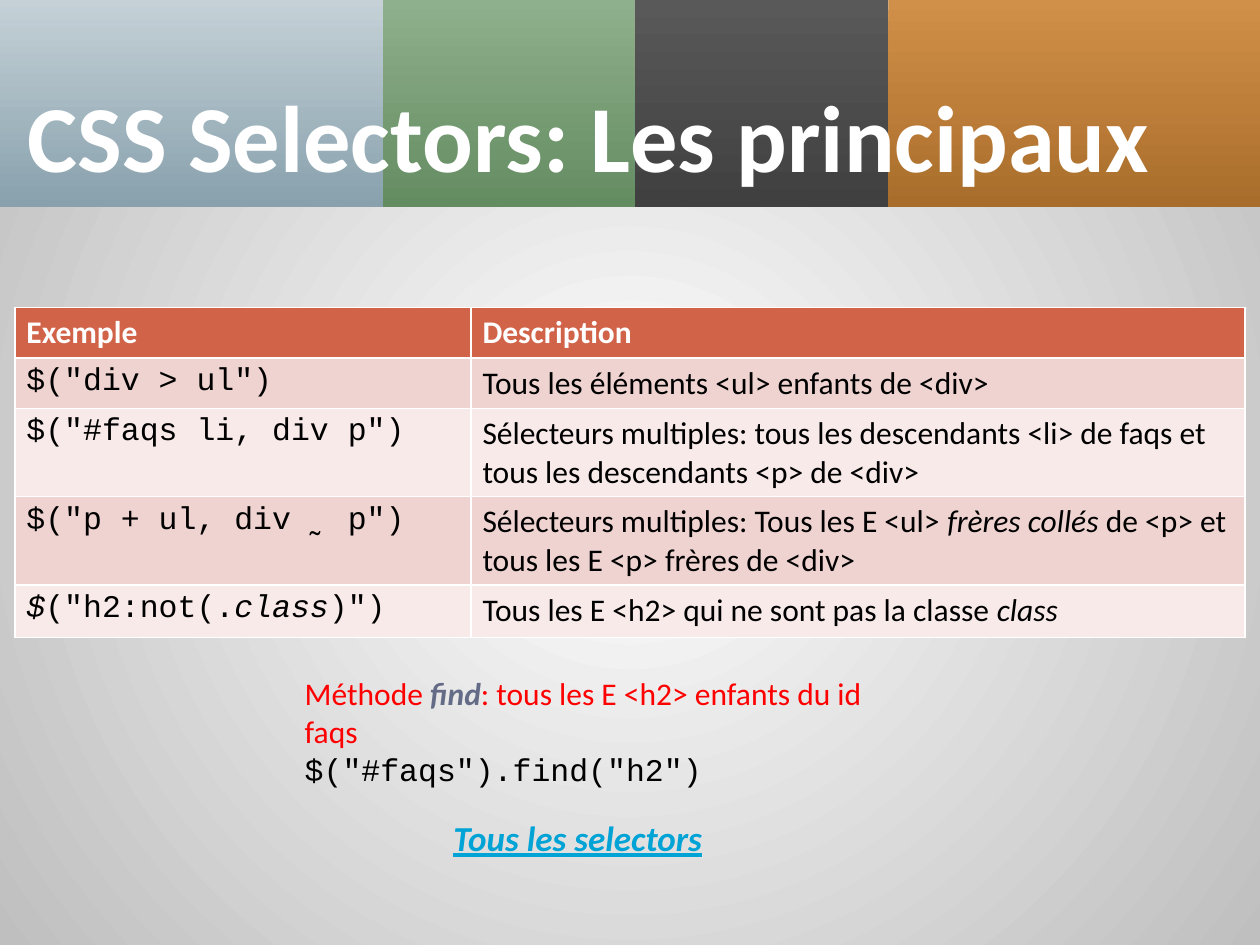
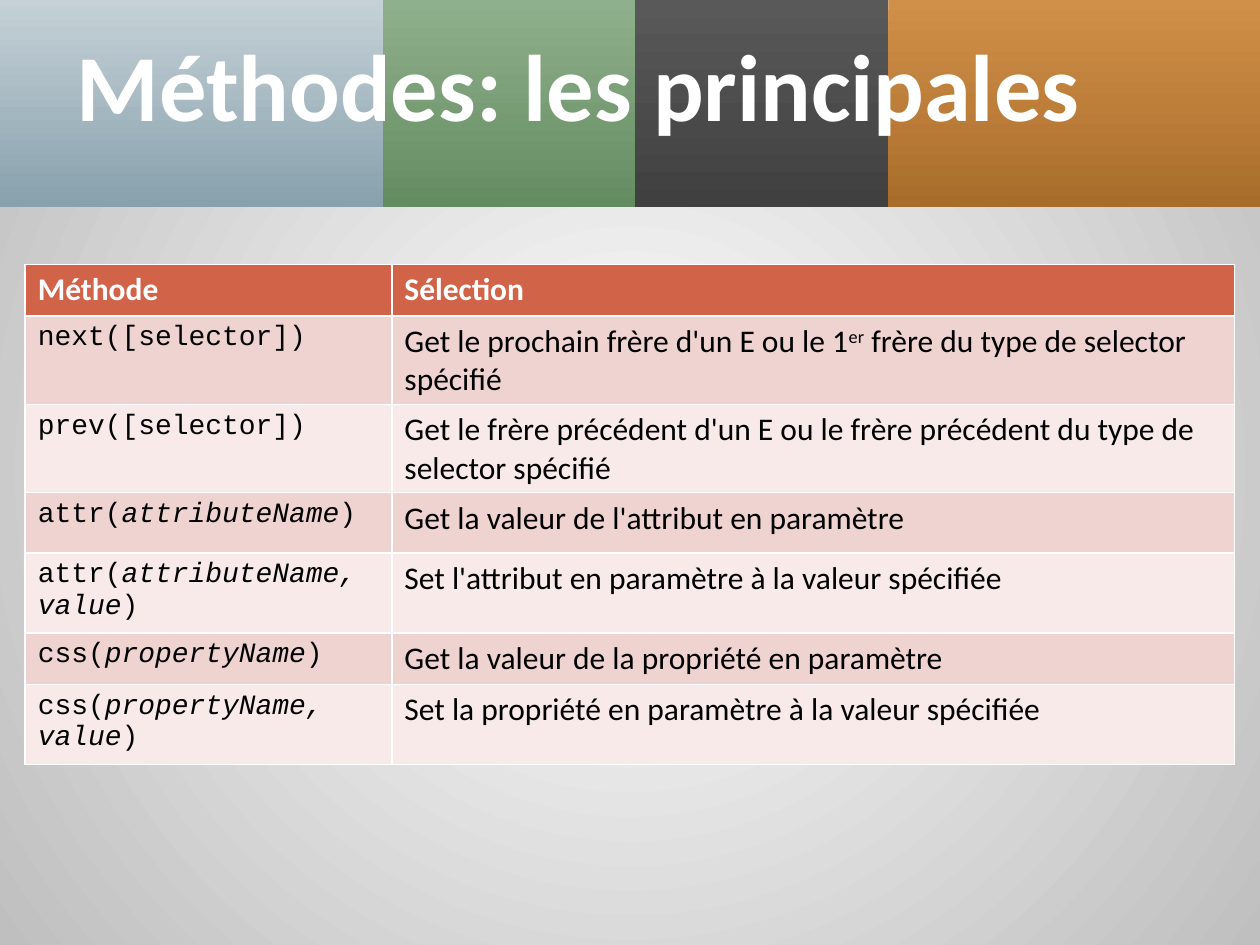
from dataclasses import dataclass
from typing import Any

from lxml import etree
from pptx import Presentation
from pptx.dml import color
from pptx.enum import shapes, text
from pptx.oxml import ns
from pptx.util import Inches, Pt

BODY_FONT, CODE_FONT = "Calibri", "Courier New"
WHITE, BLACK, RED = "FFFFFF", "000000", "FF0000"
SLATE, LINK_BLUE = "646B86", "00A3D6"
HEADER_FILL = "D16349"
ROW_FILLS = ("EED3D0", "F7EAE9")
BAND_HEIGHT = 1.64


@dataclass(frozen=True)
class Band:
    left: float
    right: float
    top_color: str
    bottom_color: str


@dataclass(frozen=True)
class Style:
    size: float = 18
    font: str = BODY_FONT
    color: str = BLACK
    bold: bool = False
    italic: bool = False
    underline: bool = False


@dataclass(frozen=True)
class Span:
    """A piece of text that departs from its paragraph's style."""
    text: str
    color: str | None = None
    bold: bool | None = None
    italic: bool | None = None
    baseline: int | None = None


@dataclass(frozen=True)
class Box:
    left: float
    top: float
    width: float
    height: float

    def lengths(self) -> list[int]:
        return [Inches(n) for n in (self.left, self.top, self.width, self.height)]


@dataclass(frozen=True)
class Grid:
    left: float
    top: float
    columns: tuple[float, float]
    heights: tuple[float, ...]
    side_inset: float
    code_size: float
    header: tuple[str, str]
    rows: list[tuple[Any, Any]]


BANDS = (
    Band(0, 3.04, "C5D1D7", "88A1AD"),
    Band(3.04, 5.04, "8FB08C", "648C61"),
    Band(5.04, 7.05, "595959", "404040"),
    Band(7.05, 10, "D19049", "A96D2B"),
)
TITLE = Style(54, color=WHITE, bold=True)
HEADER = Style(color=WHITE, bold=True)
BODY = Style()


def rgb(value: str) -> color.RGBColor:
    return color.RGBColor.from_string(value)


def italic(words: str) -> Span:
    return Span(words, italic=True)


def call(name: str, arguments: str) -> list:
    return [f"{name}(", italic(arguments), ")"]


def set_gradient(fill, first: str, last: str) -> None:
    fill.gradient()
    for stop, value in zip(fill.gradient_stops, (first, last)):
        stop.color.rgb = rgb(value)


def write(paragraph, content, style: Style) -> None:
    """Fill a paragraph from a string or a list of strings and spans."""
    font = paragraph.font
    font.name, font.size = style.font, Pt(style.size)
    font.bold, font.italic = style.bold, style.italic
    font.underline = style.underline
    font.color.rgb = rgb(style.color)
    for part in [content] if isinstance(content, str) else content:
        span = Span(part) if isinstance(part, str) else part
        run = paragraph.add_run()
        run.text = span.text
        if span.bold is not None:
            run.font.bold = span.bold
        if span.italic is not None:
            run.font.italic = span.italic
        if span.color:
            run.font.color.rgb = rgb(span.color)
        if span.baseline:
            run.font._element.set("baseline", str(span.baseline * 1000))


def add_text(slide, box: Box, lines: list[tuple[Any, Style]], wrap: bool = True):
    frame = slide.shapes.add_textbox(*box.lengths()).text_frame
    frame.word_wrap = wrap
    for index, (content, style) in enumerate(lines):
        paragraph = frame.add_paragraph() if index else frame.paragraphs[0]
        write(paragraph, content, style)
    return frame


def set_background(master) -> None:
    """Give every slide a grey gradient that spreads from the centre."""
    set_gradient(master.background.fill, WHITE, "BFBFBF")
    gradient = next(master.element.iter(ns.qn("a:gradFill")))
    gradient.remove(gradient.find(ns.qn("a:lin")))
    circle = etree.SubElement(gradient, ns.qn("a:path"), {"path": "circle"})
    sides = dict.fromkeys("ltrb", "50000")
    etree.SubElement(circle, ns.qn("a:fillToRect"), sides)


def add_titled_slide(deck, title: str, box: Box):
    slide = deck.slides.add_slide(deck.slide_layouts[6])
    for band in BANDS:
        area = Box(band.left, 0, band.right - band.left, BAND_HEIGHT)
        block = slide.shapes.add_shape(shapes.MSO_SHAPE.RECTANGLE, *area.lengths())
        block.shadow.inherit = False
        block.line.fill.background()
        set_gradient(block.fill, band.top_color, band.bottom_color)
        block.fill.gradient_angle = 270
    frame = add_text(slide, box, [(title, TITLE)])
    frame.vertical_anchor = text.MSO_ANCHOR.MIDDLE
    frame.paragraphs[0].line_spacing = 0.9
    return slide


def add_grid(slide, grid: Grid) -> None:
    area = Box(grid.left, grid.top, sum(grid.columns), sum(grid.heights))
    table = slide.shapes.add_table(len(grid.heights), 2, *area.lengths()).table
    for column, width in zip(table.columns, grid.columns):
        column.width = Inches(width)
    for row, height in zip(table.rows, grid.heights):
        row.height = Inches(height)
    row_styles = (Style(grid.code_size, CODE_FONT), BODY)
    for r, contents in enumerate([grid.header, *grid.rows]):
        styles = row_styles if r else (HEADER, HEADER)
        for c, (content, style) in enumerate(zip(contents, styles)):
            cell = table.cell(r, c)
            cell.margin_left = cell.margin_right = Inches(grid.side_inset)
            cell.fill.solid()
            cell.fill.fore_color.rgb = rgb(ROW_FILLS[(r - 1) % 2] if r else HEADER_FILL)
            write(cell.text_frame.paragraphs[0], content, style)


SELECTORS = Grid(
    0.12, 2.44, (3.62, 6.14), (0.38, 0.38, 0.67, 0.67, 0.42), 0.09, 18,
    ("Exemple", "Description"),
    [
        ('$("div > ul")', "Tous les éléments <ul> enfants de <div>"),
        ('$("#faqs li, div p")',
         "Sélecteurs multiples: tous les descendants <li> de faqs et "
         "tous les descendants <p> de <div>"),
        ('$("p + ul, div ˷ p")',
         ["Sélecteurs multiples: Tous les E <ul> ", italic("frères collés "),
          "de <p> et tous les E <p> frères de <div>"]),
        ([italic("$"), '("h2:not(.', italic("class"), ')")'],
         ["Tous les E <h2> qui ne sont pas la classe ", italic("class")]),
    ],
)

METHODS = Grid(
    0.2, 2.1, (2.91, 6.69), (0.41, 0.41, 0.41, 0.48, 0.41, 0.41, 0.41), 0.1, 16,
    ("Méthode", "Sélection"),
    [
        ("next([selector])",
         ["Get le prochain frère d'un E ou le 1", Span("er", baseline=30),
          " frère du type de selector spécifié"]),
        ("prev([selector])",
         "Get le frère précédent d'un E ou le frère précédent "
         "du type de selector spécifié"),
        (call("attr", "attributeName"), "Get la valeur de l'attribut en paramètre"),
        (call("attr", "attributeName, value"),
         "Set l'attribut en paramètre à la valeur spécifiée"),
        (call("css", "propertyName"), "Get la valeur de la propriété en paramètre"),
        (call("css", "propertyName, value"),
         "Set la propriété en paramètre à la valeur spécifiée"),
    ],
)


def build_selectors(deck) -> None:
    slide = add_titled_slide(deck, "CSS Selectors: Les principaux",
                             Box(0.12, 0.4, 9.19, 1.45))
    add_grid(slide, SELECTORS)
    find_note = ["Méthode ", Span("find", SLATE, bold=True, italic=True),
                 ": tous les E <h2> enfants du id faqs"]
    add_text(slide, Box(2.32, 5.3, 5.09, 0.71), [
        (find_note, Style(color=RED)),
        ('$("#faqs").find("h2")', Style(font=CODE_FONT)),
    ])
    link_style = Style(20, color=LINK_BLUE, bold=True, italic=True, underline=True)
    add_text(slide, Box(3.5, 6.43, 2.19, 0.44),
             [("Tous les selectors", link_style)], wrap=False)


def build_methods(deck) -> None:
    slide = add_titled_slide(deck, "Méthodes: les principales",
                             Box(0.51, 0, 8.62, 1.45))
    add_grid(slide, METHODS)


def main() -> None:
    deck = Presentation()
    deck.slide_width, deck.slide_height = Inches(10), Inches(7.5)
    set_background(deck.slide_master)
    build_selectors(deck)
    build_methods(deck)
    deck.save("out.pptx")


if __name__ == "__main__":
    main()
